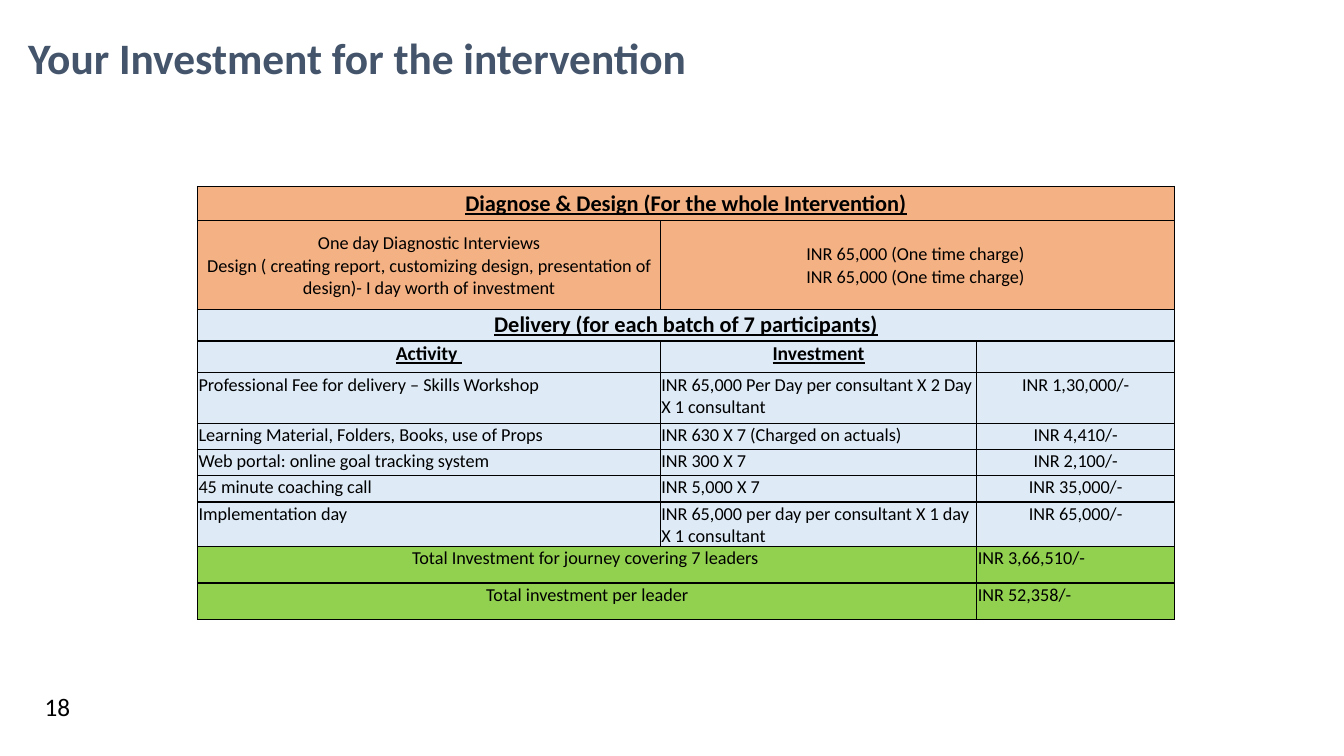
from pptx import Presentation
from pptx.dml.color import RGBColor as Rgb
from pptx.enum.shapes import MSO_SHAPE as Kind
from pptx.enum.text import MSO_ANCHOR as Anchor, MSO_AUTO_SIZE as Auto, PP_ALIGN as Align
from pptx.oxml import parse_xml as parse
from pptx.oxml.ns import nsdecls
from pptx.util import Inches, Pt

INK, SLATE = "000000", "44546A"
PEACH, SKY, LIME = "F4B183", "DEEBF7", "92D050"
MID, LEFT, JUST = Align.CENTER, Align.LEFT, Align.JUSTIFY


def paint(hue):
    return Rgb.from_string(hue)


class Deck:
    font = "Calibri"

    def __init__(self):
        self.show = Presentation()
        self.show.slide_width = Inches(13.33)
        self.show.slide_height = Inches(7.5)
        self.page = self.show.slides.add_slide(self.show.slide_layouts[5])

    def col(self, share):
        return int(self.show.slide_width * share / 100)

    def row(self, share):
        return int(self.show.slide_height * share / 100)

    def box(self, x, y, w, h):
        return self.col(x), self.row(y), self.col(w), self.row(h)

    def style(self, frame, size, hue=INK, align=MID, bold=False, line=False):
        look = {"name": self.font, "size": Pt(size), "bold": bold, "underline": line}
        for para in frame.paragraphs:
            para.alignment = align
            for run in para.runs:
                for key, value in look.items():
                    setattr(run.font, key, value)
                run.font.color.rgb = paint(hue)
            if not para.runs:
                para._p.append(parse(f'<a:endParaRPr {nsdecls("a")} sz="{size * 100}"/>'))

    def title(self, text, place):
        head = self.page.shapes.title
        for key, value in zip(("left", "top", "width", "height"), self.box(*place)):
            setattr(head, key, value)
        frame = head.text_frame
        frame.text = text
        form = {"word_wrap": True, "auto_size": Auto.SHAPE_TO_FIT_TEXT,
                "vertical_anchor": Anchor.TOP}
        for key, value in form.items():
            setattr(frame, key, value)
        frame.paragraphs[0].line_spacing = 1.5
        self.style(frame, 31, SLATE, LEFT, True)

    def badge(self, text, place):
        shape = self.page.shapes.add_shape(Kind.ROUNDED_RECTANGLE, *self.box(*place))
        shape.shadow.inherit = False
        shape.fill.background()
        shape.line.fill.background()
        shape.text_frame.text = text
        shape.text_frame.vertical_anchor = Anchor.MIDDLE
        self.style(shape.text_frame, 18)

    def cell(self, cell, hue):
        form = {"margin_left": Inches(0.01), "margin_right": Inches(0.01),
                "margin_top": Inches(0.01), "margin_bottom": 0}
        for key, value in form.items():
            setattr(cell, key, value)
        for side in "LRTB":
            cell._tc.get_or_add_tcPr().append(parse(
                f'<a:ln{side} {nsdecls("a")} w="12700"><a:solidFill>'
                f'<a:srgbClr val="{INK}"/></a:solidFill></a:ln{side}>'))
        cell.fill.solid()
        cell.fill.fore_color.rgb = paint(hue)

    def table(self, x, y, cols, rows):
        place = self.box(x, y, sum(cols), sum(row[0] for row in rows))
        grid = self.page.shapes.add_table(len(rows), len(cols), *place).table
        grid.first_row = grid.horz_banding = False
        for part, width in zip(grid.columns, cols):
            part.width = self.col(width)
        for r, (high, hue, anchor, spans, texts, aligns, form) in enumerate(rows):
            grid.rows[r].height = self.row(high)
            c = 0
            fills = {}
            for span, text, align in zip(spans, texts, aligns):
                fills[c] = text, align
                if span > 1:
                    grid.cell(r, c).merge(grid.cell(r, c + span - 1))
                c += span
            for c in range(len(cols)):
                cell = grid.cell(r, c)
                text, align = fills.get(c, ("", MID))
                self.cell(cell, hue)
                cell.vertical_anchor = anchor
                cell.text_frame.text = text
                self.style(cell.text_frame, align=align, **form)


def main():
    deck = Deck()
    deck.title("Your Investment for the intervention", (1.35, 0, 51.8, 10.7))
    deck.badge("18", (1.8, 90.1, 4.95, 6.7))

    top, mid = Anchor.TOP, Anchor.MIDDLE
    band = {"size": 16, "bold": True, "line": True}
    label = {"size": 14, "bold": True, "line": True}
    plain = {"size": 13}
    rows = [
        (4.53, PEACH, mid, [3], ["Diagnose & Design (For the whole Intervention)"], [MID], band),
        (11.8, PEACH, mid, [1, 2],
         ["One day Diagnostic Interviews\nDesign ( creating report, customizing design, "
          "presentation of design)- I day worth of investment",
          "\n".join(["INR 65,000 (One time charge) "] * 2)], [MID, MID], plain),
        (4.13, SKY, top, [3], ["Delivery (for each batch of 7 participants)"], [MID], band),
        (4.2, SKY, top, [1, 1, 1], ["Activity ", "Investment", ""], [MID] * 3, label),
    ]
    costs = [
        (6.67, "Professional Fee for delivery – Skills Workshop",
         "INR 65,000 Per Day per consultant X 2 Day X 1 consultant", "INR 1,30,000/-"),
        (3.47, "Learning Material, Folders, Books, use of Props",
         "INR 630 X 7 (Charged on actuals)", "INR 4,410/-"),
        (3.47, "Web portal: online goal tracking system", "INR 300 X 7", "INR 2,100/-"),
        (3.47, "45 minute coaching call", "INR 5,000 X 7", "INR 35,000/-"),
        (5.9, "Implementation day",
         "INR 65,000 per day per consultant X 1 day X 1 consultant", "INR 65,000/-"),
    ]
    for high, *texts in costs:
        rows.append((high, SKY, top, [1, 1, 1], texts, [JUST, LEFT, MID], plain))
    sums = [
        ("Total Investment for journey covering 7 leaders ", "INR 3,66,510/-"),
        ("Total investment per leader", "INR 52,358/-"),
    ]
    for texts in sums:
        rows.append((4.8, LIME, top, [2, 1], texts, [MID, JUST], plain))
    deck.table(14.7, 24.67, [34.43, 23.55, 14.7], rows)
    deck.show.save("out.pptx")


if __name__ == "__main__":
    main()
